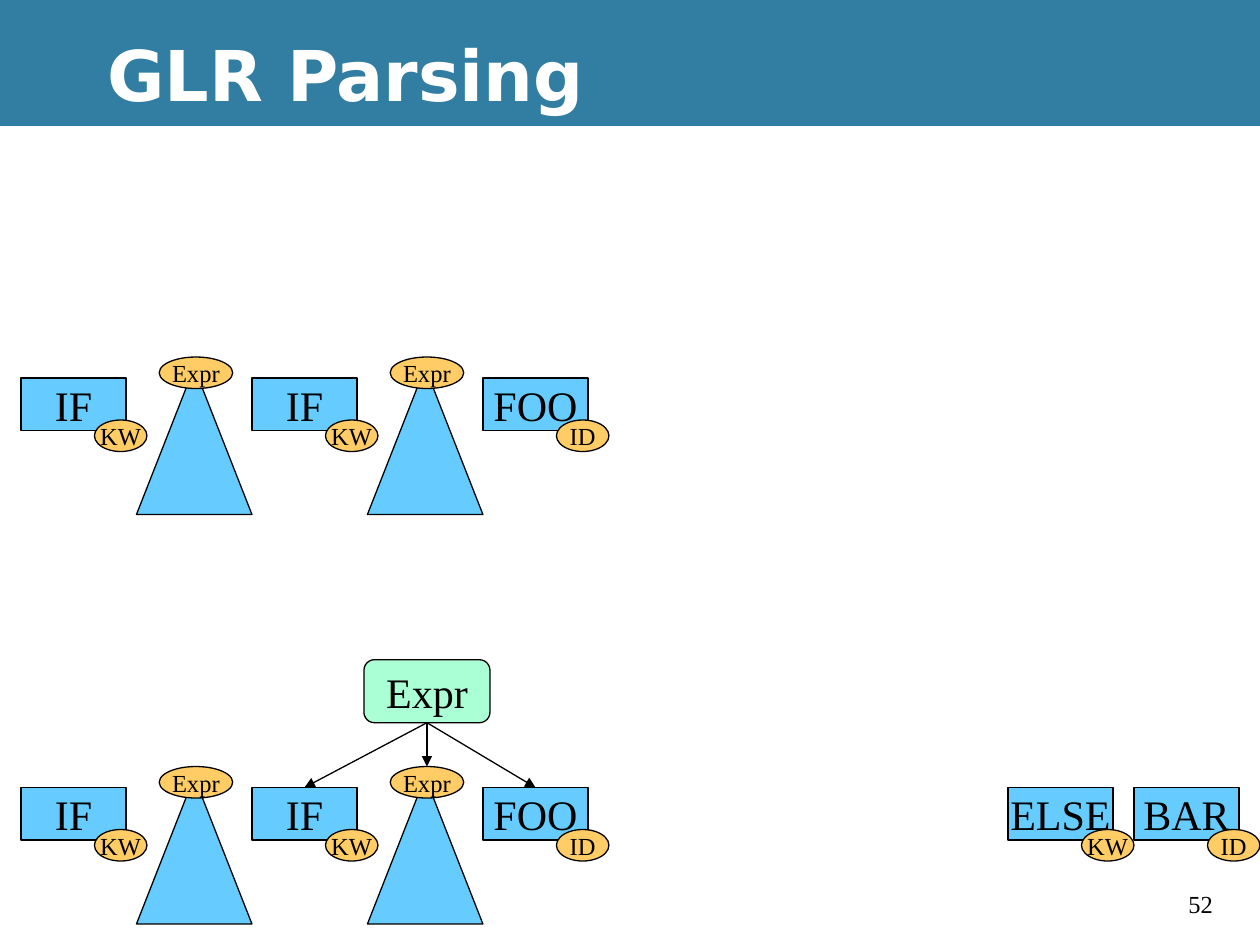
from dataclasses import dataclass

from lxml import etree
from pptx import Presentation
from pptx.dml.color import RGBColor
from pptx.enum import shapes, text
from pptx.oxml import ns
from pptx.util import Pt


@dataclass(frozen=True)
class Theme:
    black: str = "000000"
    white: str = "FFFFFF"
    band: str = "327EA3"
    token: str = "66CCFF"
    tag: str = "FFCC66"
    node: str = "AAFFD4"
    title_font: str = "DejaVu Sans"
    body_font: str = "Times New Roman"
    title_size: int = 40
    label_size: int = 24
    tag_size: int = 14
    line: float = 0.75


T = Theme()
KIND = shapes.MSO_SHAPE
TOKEN_W, TOKEN_H = 60, 30
STEP = 132  # from one IF to the next token
LEFT = 12
ROWS = (216, 450)  # tops of the token boxes
NODE = (208, 377, 72, 36)


def write(sp, label, size=T.label_size, font=T.body_font, color=T.black,
          bold=False, align=text.PP_ALIGN.CENTER, wrap=False):
    tf = sp.text_frame
    tf.word_wrap = wrap
    tf.auto_size = text.MSO_AUTO_SIZE.NONE
    tf.vertical_anchor = text.MSO_ANCHOR.MIDDLE
    p = tf.paragraphs[0]
    p.alignment = align
    r = p.add_run()
    r.text = label
    r.font.size, r.font.name, r.font.bold = Pt(size), font, bold
    r.font.color.rgb = RGBColor.from_string(color)


def add_shape(parent, kind, x, y, w, h, fill, outlined=True):
    sp = parent.shapes.add_shape(kind, Pt(x), Pt(y), Pt(w), Pt(h))
    sp.shadow.inherit = False
    sp.fill.solid()
    sp.fill.fore_color.rgb = RGBColor.from_string(fill)
    if outlined:
        sp.line.color.rgb = RGBColor.from_string(T.black)
        sp.line.width = Pt(T.line)
    else:
        sp.line.fill.background()
    return sp


def add_tag(parent, label, x, y, w):
    sp = add_shape(parent, KIND.OVAL, x, y, w, 18, T.tag)
    write(sp, label, size=T.tag_size)


def add_token(s, word, tag, x, y):
    group = s.shapes.add_group_shape()
    write(add_shape(group, KIND.RECTANGLE, x, y, TOKEN_W, TOKEN_H, T.token), word)
    add_tag(group, tag, x + 42, y + 24, 30)


def add_subtree(s, x, y):
    group = s.shapes.add_group_shape()
    add_shape(group, KIND.ISOSCELES_TRIANGLE, x, y - 6, 66, 84, T.token)
    add_tag(group, "Expr", x + 13, y - 12, 42)


def add_arrow(s, x1, y1, x2, y2):
    line = s.shapes.add_connector(shapes.MSO_CONNECTOR.STRAIGHT,
                                  Pt(x1), Pt(y1), Pt(x2), Pt(y2))
    line.line.color.rgb = RGBColor.from_string(T.black)
    line.line.width = Pt(T.line)
    ln = line.line._get_or_add_ln()
    etree.SubElement(ln, ns.qn("a:tailEnd"), type="triangle")
    etree.SubElement(line._element.spPr, ns.qn("a:effectLst"))


def add_frame(s):
    s.background.fill.solid()
    s.background.fill.fore_color.rgb = RGBColor.from_string(T.black)
    # Panels go behind the title
    for y, h, fill in ((0, 72, T.band), (72, 468, T.white)):
        sp = add_shape(s, KIND.RECTANGLE, 0, y, 720, h, fill, outlined=False)
        s.shapes._spTree.insert(2, sp._element)

    title = s.shapes.title
    title.left, title.top, title.width, title.height = Pt(54), Pt(6), Pt(666), Pt(72)
    write(title, "GLR Parsing", size=T.title_size, font=T.title_font,
          color=T.white, bold=True, align=text.PP_ALIGN.LEFT, wrap=True)

    number = s.shapes.add_textbox(Pt(672), Pt(504), Pt(36), Pt(24.5))
    write(number, "52", size=T.tag_size, align=text.PP_ALIGN.LEFT)


def add_statement(s, y):
    for i, (word, tag) in enumerate((("IF", "KW"), ("IF", "KW"), ("FOO", "ID"))):
        add_token(s, word, tag, LEFT + i * STEP, y)
    for i in range(2):
        add_subtree(s, LEFT + 66 + i * STEP, y)


def add_reduction(s, y):
    x, top, w, h = NODE
    write(add_shape(s, KIND.ROUNDED_RECTANGLE, *NODE, T.node), "Expr")
    start_x, start_y = x + w / 2, top + h
    second_if = LEFT + STEP + TOKEN_W / 2
    foo = second_if + STEP
    for end_x, end_y in ((second_if, y), (start_x, y - 12), (foo, y)):
        add_arrow(s, start_x, start_y, end_x, end_y)


def main():
    prs = Presentation()
    prs.slide_width, prs.slide_height = Pt(720), Pt(540)
    s = prs.slides.add_slide(prs.slide_layouts[5])
    add_frame(s)

    # Two copies of the parse stack
    for y in ROWS:
        add_statement(s, y)

    # Remaining input, then the reduction in the lower stack
    add_token(s, "ELSE", "KW", 576, ROWS[1])
    add_token(s, "BAR", "ID", 648, ROWS[1])
    add_reduction(s, ROWS[1])

    prs.save("out.pptx")


if __name__ == "__main__":
    main()
